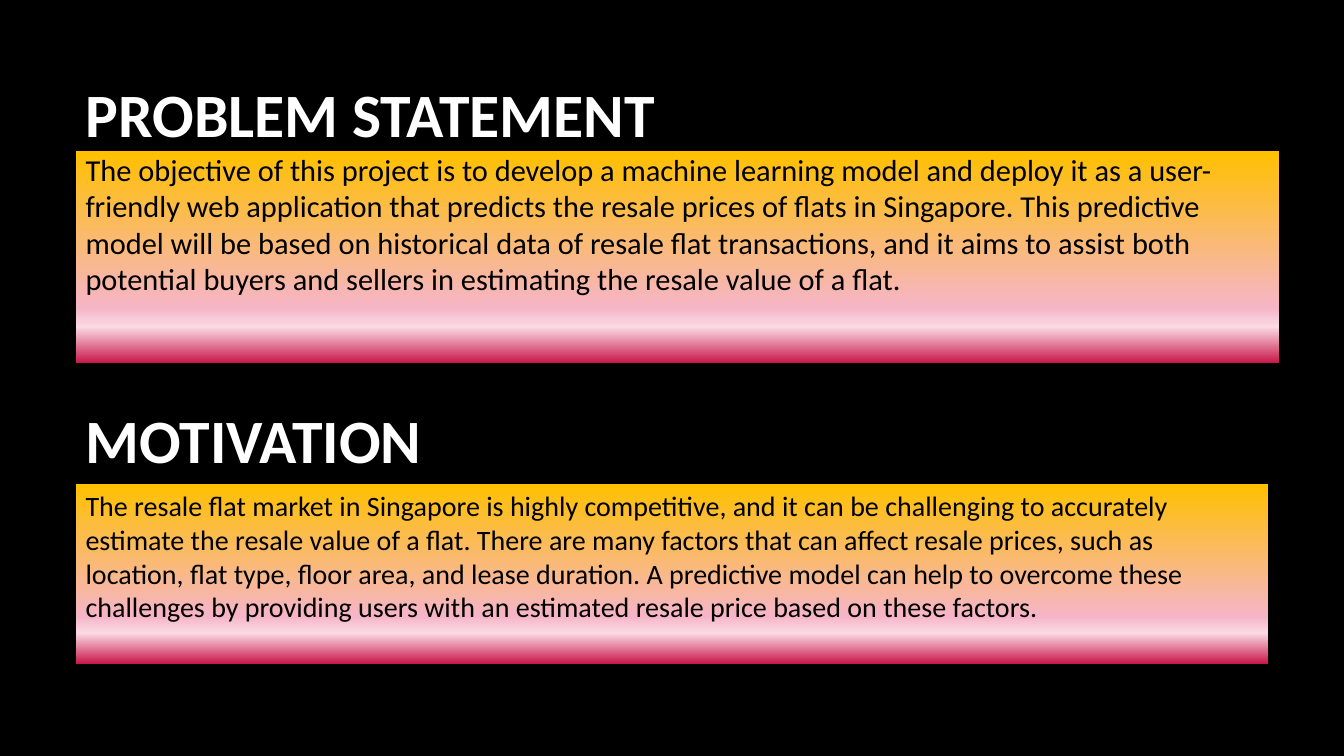
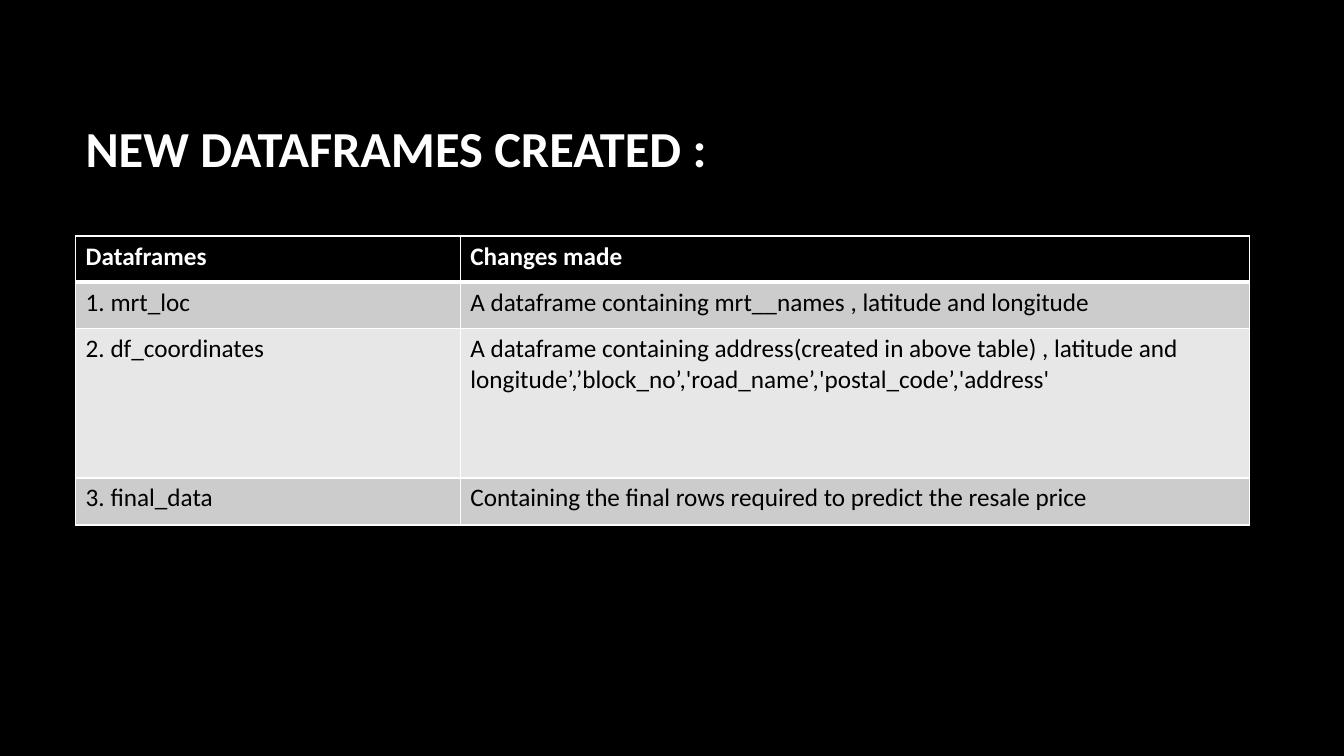
from lxml.etree import SubElement
from pptx import Presentation
from pptx.dml.color import RGBColor
from pptx.enum.shapes import MSO_SHAPE
from pptx.enum.text import MSO_ANCHOR, PP_ALIGN
from pptx.oxml.ns import qn
from pptx.util import Inches, Pt

COLUMNS, ROWS = 160, 90
LEFT = 9
TITLE_WIDTH = 133
BLACK, WHITE = "000000", "FFFFFF"
BAND_DARK, BAND_LIGHT = "CCCCCC", "E7E7E7"
PANEL_STOPS = [(0, "FFC000"), (74, "F6B5C7"), (83, "FADAE3"), (100, "C9194C")]

OBJECTIVE = (
    "The objective of this project is to develop a machine learning model and deploy it "
    "as a user-friendly web application that predicts the resale prices of flats in "
    "Singapore. This predictive model will be based on historical data of resale flat "
    "transactions, and it aims to assist both potential buyers and sellers in estimating "
    "the resale value of a flat."
)
MOTIVATION = (
    "The resale flat market in Singapore is highly competitive, and it can be challenging "
    "to accurately estimate the resale value of a flat. There are many factors that can "
    "affect resale prices, such as location, flat type, floor area, and lease duration. A "
    "predictive model can help to overcome these challenges by providing users with an "
    "estimated resale price based on these factors."
)
DATAFRAMES = [
    ("Dataframes", "Changes made"),
    ("1. mrt_loc", "A dataframe containing mrt__names , latitude and longitude"),
    ("2. df_coordinates",
     "A dataframe containing address(created in above table) , latitude and "
     "longitude’,’block_no’,'road_name’,'postal_code’,'address'"),
    ("3. final_data", "Containing the final rows required to predict the resale price"),
]


def color(value):
    return RGBColor.from_string(value)


class Deck:
    """Holds the shared style and the current slide; lengths are grid units."""

    font_name = "Calibri"

    def __init__(self):
        self.deck = Presentation()
        self.deck.slide_width = Inches(13.33)
        self.deck.slide_height = Inches(7.5)
        self.slide = None

    def across(self, columns):
        return round(self.deck.slide_width * columns / COLUMNS)

    def down(self, rows):
        return round(self.deck.slide_height * rows / ROWS)

    def place(self, left, top, width, height):
        return self.across(left), self.down(top), self.across(width), self.down(height)

    def add_slide(self):
        self.slide = self.deck.slides.add_slide(self.deck.slide_layouts[6])
        background = self.slide.background.fill
        background.solid()
        background.fore_color.rgb = color(BLACK)

    def set_text(self, frame, text, size, ink, bold=False):
        frame.word_wrap = True
        frame.text = text
        paragraph = frame.paragraphs[0]
        paragraph.alignment = PP_ALIGN.LEFT
        for span in paragraph.runs:
            span.font.name = self.font_name
            span.font.size = Pt(size)
            span.font.bold = bold
            span.font.color.rgb = color(ink)
        return paragraph

    def title(self, text, top, height, size=44):
        box = self.slide.shapes.add_textbox(*self.place(LEFT, top, TITLE_WIDTH, height))
        box.text_frame.vertical_anchor = MSO_ANCHOR.MIDDLE
        self.set_text(box.text_frame, text, size, WHITE, bold=True)

    def panel(self, text, top, width, height, size, line_height, inset):
        """Add a gradient rectangle with text that starts at its top."""
        panel = self.slide.shapes.add_shape(
            MSO_SHAPE.RECTANGLE, *self.place(LEFT, top, width, height))
        panel.shadow.inherit = False
        panel.line.fill.background()
        panel.fill.gradient()
        panel.fill.gradient_angle = 270
        stops = panel.element.spPr.find(qn("a:gradFill")).find(qn("a:gsLst"))
        for stop in list(stops):
            stops.remove(stop)
        for percent, value in PANEL_STOPS:
            stop = SubElement(stops, qn("a:gs"), pos=str(percent * 1000))
            SubElement(stop, qn("a:srgbClr"), val=value)
        frame = panel.text_frame
        frame.vertical_anchor = MSO_ANCHOR.TOP
        frame.margin_top = Inches(inset)
        paragraph = self.set_text(frame, text, size, BLACK)
        paragraph.line_spacing = Pt(line_height)

    def table(self, rows, top, widths, heights):
        table = self.slide.shapes.add_table(
            len(rows), len(widths),
            *self.place(LEFT, top, sum(widths), sum(heights))).table
        table.horz_banding = False
        for column, width in zip(table.columns, widths):
            column.width = self.across(width)
        for index, (row, height) in enumerate(zip(table.rows, heights)):
            row.height = self.down(height)
            header = index == 0
            band = BLACK if header else (BAND_DARK if index % 2 else BAND_LIGHT)
            for cell, text in zip(row.cells, rows[index]):
                cell.fill.solid()
                cell.fill.fore_color.rgb = color(band)
                self.set_text(cell.text_frame, text, 18, WHITE if header else BLACK, header)
                self.borders(cell, top=3 if index == 1 else 1, bottom=3 if header else 1)

    def borders(self, cell, top, bottom):
        properties = cell._tc.get_or_add_tcPr()
        edges = [("a:lnL", 1), ("a:lnR", 1), ("a:lnT", top), ("a:lnB", bottom)]
        for position, (tag, width) in enumerate(edges):
            edge = SubElement(properties, qn(tag), w=str(Pt(width)))
            fill = SubElement(edge, qn("a:solidFill"))
            SubElement(fill, qn("a:srgbClr"), val=WHITE)
            properties.insert(position, edge)


def main():
    deck = Deck()

    deck.add_slide()
    deck.title("PROBLEM STATEMENT", top=8, height=10.8)
    deck.panel(OBJECTIVE, top=18, width=143.3, height=25.2,
               size=21.7, line_height=26, inset=0)
    deck.title("MOTIVATION", top=46.8, height=10.8)
    deck.panel(MOTIVATION, top=57.6, width=142, height=21.4,
               size=20, line_height=24, inset=0.05)

    deck.add_slide()
    deck.title("NEW DATAFRAMES CREATED :", top=8, height=19.1, size=36)
    deck.table(DATAFRAMES, top=28.1, widths=[45.8, 94], heights=[5.5, 5.5, 17.8, 5.6])

    deck.deck.save("out.pptx")


if __name__ == "__main__":
    main()
